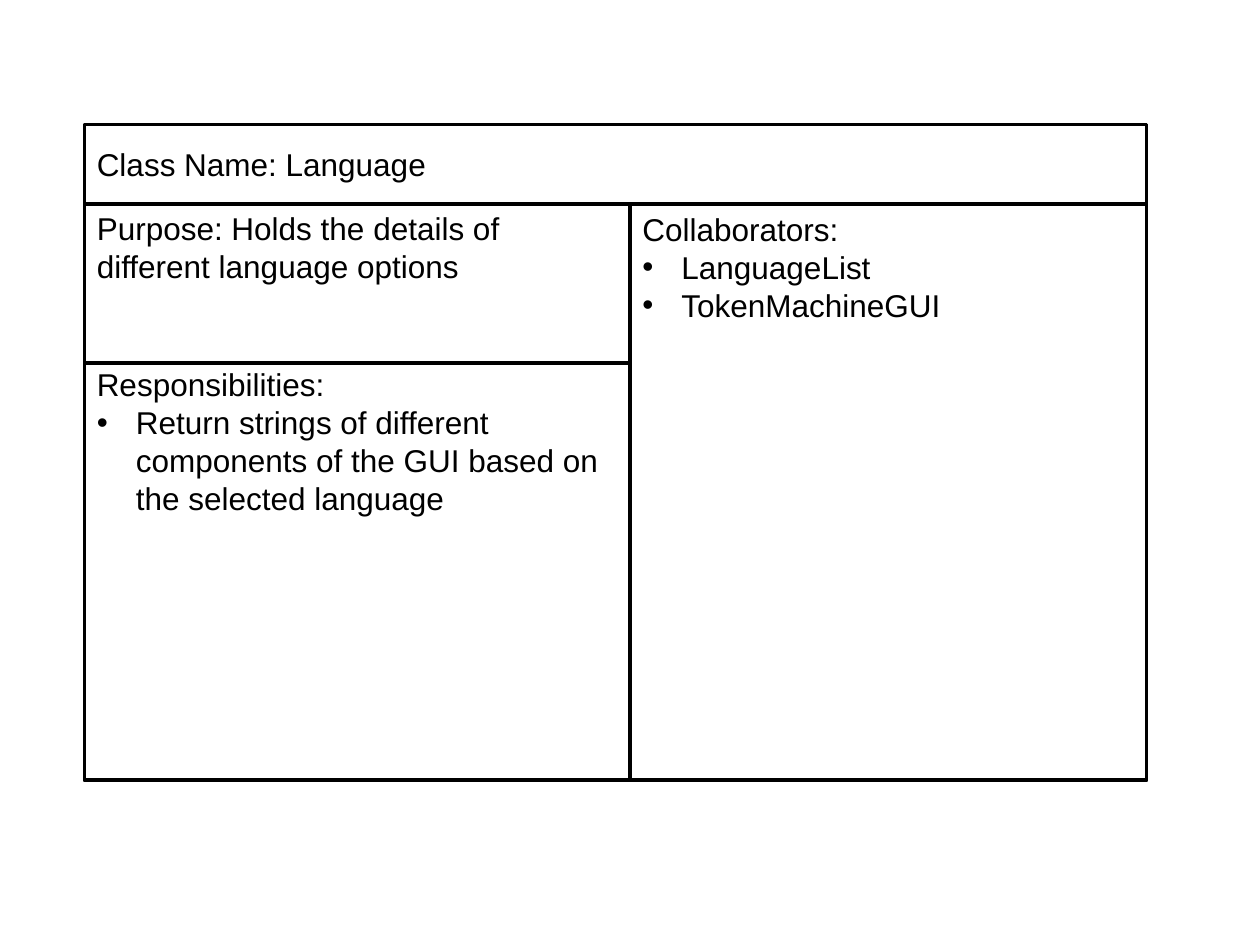
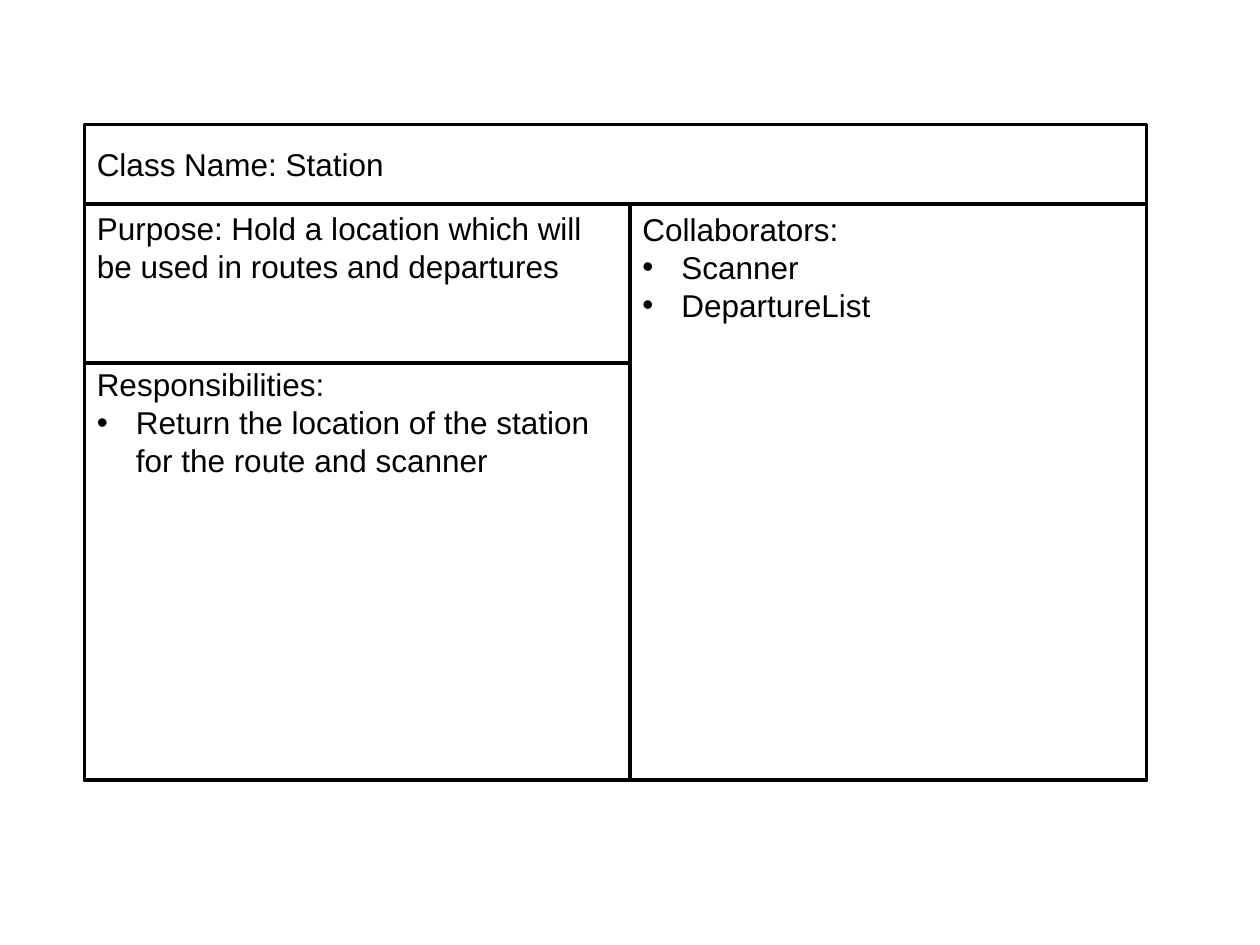
from dataclasses import dataclass

from lxml.etree import SubElement
from pptx import Presentation
from pptx.dml.color import RGBColor
from pptx.enum.shapes import MSO_SHAPE as Shape
from pptx.enum.text import MSO_ANCHOR as Anchor, PP_ALIGN as Align
from pptx.oxml.ns import qn
from pptx.util import Inches, Pt


@dataclass(frozen=True)
class Theme:
    ink: RGBColor = RGBColor(0, 0, 0)
    paper: RGBColor = RGBColor(255, 255, 255)
    font: str = "Arial"
    text_size: int = 18
    border: int = 2
    bullet_indent: float = 0.31


THEME = Theme()

# Card grid, in inches
LEFT, MIDDLE, RIGHT = 0.67, 5, 9.1
TOP, NAME_END, PURPOSE_END, BOTTOM = 0.99, 1.62, 2.88, 6.19

CARDS = [
    {
        "name": "Language",
        "purpose": "Holds the details of different language options",
        "responsibilities": [
            "Return strings of different components of the GUI "
            "based on the selected language",
        ],
        "collaborators": ["LanguageList", "TokenMachineGUI"],
    },
    {
        "name": "Station",
        "purpose": "Hold a location which will be used in routes and departures",
        "responsibilities": [
            "Return the location of the station for the route and scanner",
        ],
        "collaborators": ["Scanner", "DepartureList"],
    },
]


def add_box(slide, left, top, right, bottom):
    box = slide.shapes.add_shape(
        Shape.RECTANGLE, Inches(left), Inches(top),
        Inches(right - left), Inches(bottom - top))
    box.shadow.inherit = False
    box.fill.solid()
    box.fill.fore_color.rgb = THEME.paper
    box.line.color.rgb = THEME.ink
    box.line.width = Pt(THEME.border)
    return box


def add_bullet(paragraph):
    properties = paragraph._p.get_or_add_pPr()
    indent = Inches(THEME.bullet_indent)
    properties.set("marL", str(indent))
    properties.set("indent", str(-indent))
    SubElement(properties, qn("a:buFont")).set("typeface", THEME.font)
    SubElement(properties, qn("a:buChar")).set("char", "•")


def write_line(paragraph, text):
    paragraph.alignment = Align.LEFT
    run = paragraph.add_run()
    run.text = text
    run.font.name = THEME.font
    run.font.size = Pt(THEME.text_size)
    run.font.color.rgb = THEME.ink


def add_section(slide, bounds, heading, items=(), anchor=Anchor.TOP, inset=0.05):
    """Draw a bordered section with a heading and a bulleted list."""
    frame = add_box(slide, *bounds).text_frame
    frame.word_wrap = True
    frame.vertical_anchor = anchor
    frame.margin_top = Inches(inset)
    write_line(frame.paragraphs[0], heading)
    for item in items:
        entry = frame.add_paragraph()
        add_bullet(entry)
        write_line(entry, item)


def add_card(slide, card):
    # Outer frame
    add_box(slide, LEFT, TOP, RIGHT, BOTTOM)
    # Left column
    add_section(slide, (LEFT, NAME_END, MIDDLE, PURPOSE_END),
                f"Purpose: {card['purpose']}", inset=0.04)
    add_section(slide, (LEFT, PURPOSE_END, MIDDLE, BOTTOM),
                "Responsibilities:", card["responsibilities"], inset=0.02)
    # Right column
    add_section(slide, (MIDDLE, NAME_END, RIGHT, BOTTOM),
                "Collaborators:", card["collaborators"])
    # Name band
    add_section(slide, (LEFT, TOP, RIGHT, NAME_END),
                f"Class Name: {card['name']}", anchor=Anchor.MIDDLE)


def main():
    deck = Presentation()
    deck.slide_width, deck.slide_height = Inches(10), Inches(7.5)
    blank = deck.slide_layouts[6]
    for card in CARDS:
        add_card(deck.slides.add_slide(blank), card)
    deck.save("out.pptx")


if __name__ == "__main__":
    main()
